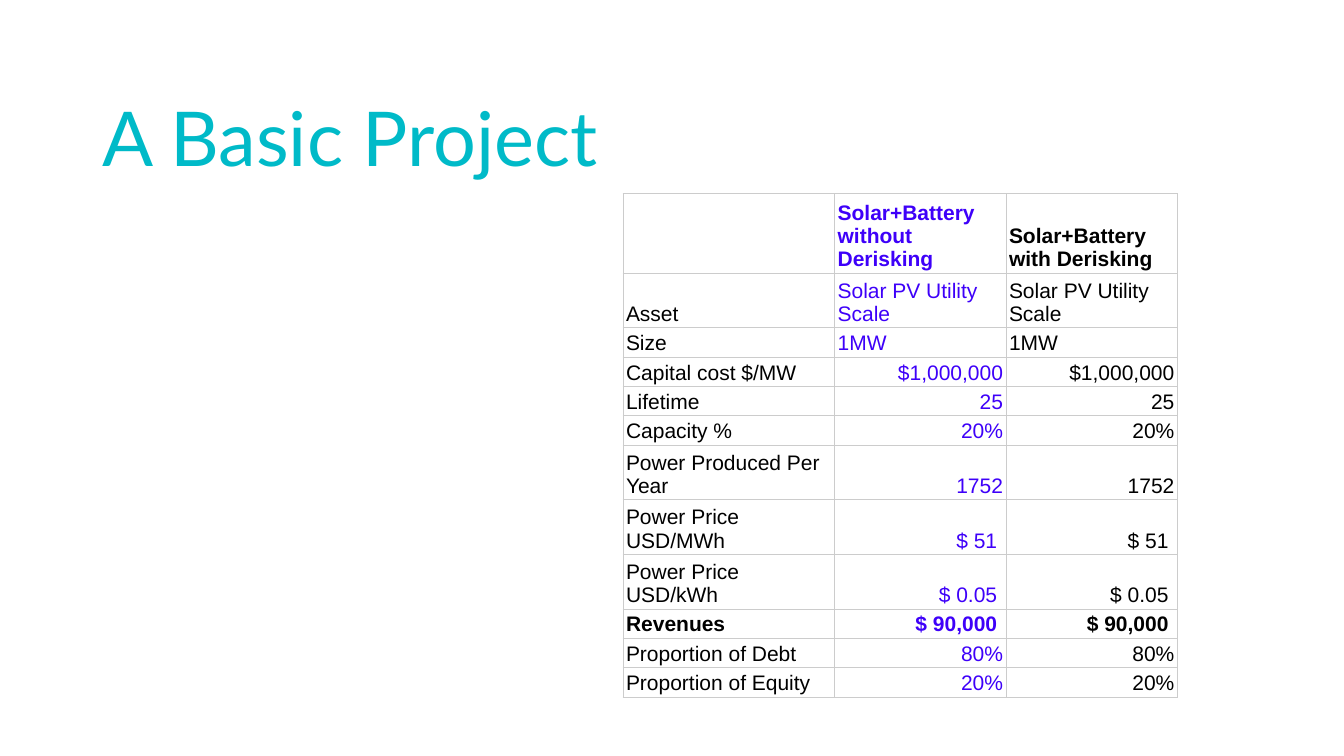
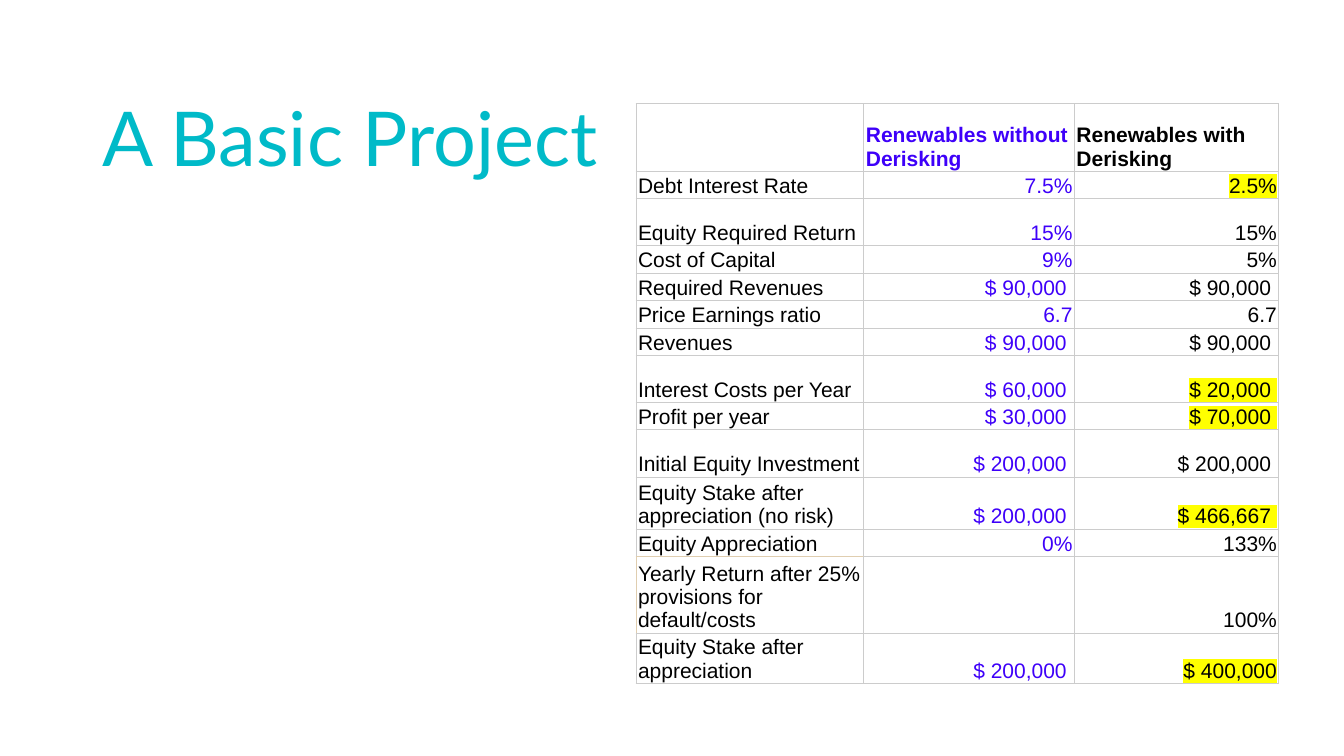
from dataclasses import dataclass

import lxml.etree
import pptx
import pptx.dml.color
import pptx.enum.text
import pptx.oxml.ns
import pptx.util

Pt = pptx.util.Pt
RGBColor = pptx.dml.color.RGBColor
PP_ALIGN = pptx.enum.text.PP_ALIGN
MSO_ANCHOR = pptx.enum.text.MSO_ANCHOR
qn = pptx.oxml.ns.qn

TEAL = RGBColor(0x00, 0xBA, 0xC8)
NAVY = RGBColor(0x20, 0x30, 0x40)
VIOLET = RGBColor(0x3E, 0x00, 0xF9)
BLACK = RGBColor(0x00, 0x00, 0x00)
YELLOW = RGBColor(0xFF, 0xFF, 0x00)
GRID_GREY = RGBColor(0xCC, 0xCC, 0xCC)
GRID_TAN = RGBColor(0xE0, 0xCE, 0xB0)

TITLE_FONT = "Lato"
TABLE_FONT = "Arial"
COLUMN_COLORS = (BLACK, VIOLET, BLACK)


@dataclass
class Row:
    label: str
    without: str
    derisked: str
    height: float
    bold: bool = False
    marked: bool = False
    tan_sides: str = ""


PROJECT_ROWS = [
    Row("", "Solar+Battery without Derisking", "Solar+Battery with Derisking", 57, bold=True),
    Row("Asset", "Solar PV Utility Scale", "Solar PV Utility Scale", 39),
    Row("Size", "1MW", "1MW", 21),
    Row("Capital cost $/MW", "$1,000,000", "$1,000,000", 21),
    Row("Lifetime", "25", "25", 21),
    Row("Capacity %", "20%", "20%", 21),
    Row("Power Produced Per Year", "1752", "1752", 39),
    Row("Power Price USD/MWh", "$ 51 ", "$ 51 ", 39),
    Row("Power Price USD/kWh", "$ 0.05 ", "$ 0.05 ", 39),
    Row("Revenues", "$ 90,000 ", "$ 90,000 ", 21, bold=True),
    Row("Proportion of Debt", "80%", "80%", 21),
    Row("Proportion of Equity", "20%", "20%", 21),
]

RETURN_ROWS = [
    Row("", "Renewables without Derisking", "Renewables with Derisking", 48.2, bold=True),
    Row("Debt Interest Rate", "7.5%", "2.5%", 19.6, marked=True),
    Row("Equity Required Return", "15%", "15%", 33.6),
    Row("Cost of Capital", "9%", "5%", 19.6),
    Row("Required Revenues", "$ 90,000 ", "$ 90,000 ", 19.6),
    Row("Price Earnings ratio", "6.7", "6.7", 19.6),
    Row("Revenues", "$ 90,000 ", "$ 90,000 ", 19.6),
    Row("Interest Costs per Year", "$ 60,000 ", "$ 20,000 ", 33.6, marked=True),
    Row("Profit per year", "$ 30,000 ", "$ 70,000 ", 19.6, marked=True),
    Row("Initial Equity Investment", "$ 200,000 ", "$ 200,000 ", 33.6),
    Row("Equity Stake after appreciation (no risk)", "$ 200,000 ", "$ 466,667 ", 37.2, marked=True),
    Row("Equity Appreciation", "0%", "133%", 19.6, tan_sides="B"),
    Row("Yearly Return after 25% provisions for default/costs", "", "100%", 54.8, tan_sides="LT"),
    Row("Equity Stake after appreciation", "$ 200,000 ", "$ 400,000", 36, marked=True),
]


def write_text(frame, text, *, font, size, color, fade_to=None, bold=False,
               align=PP_ALIGN.LEFT, highlight=None):
    frame.word_wrap = True
    paragraph = frame.paragraphs[0]
    paragraph.alignment = align
    run = paragraph.add_run()
    run.text = text
    run.font.name = font
    run.font.size = Pt(size)
    run.font.bold = bold
    if fade_to is None:
        run.font.color.rgb = color
    else:
        run.font.fill.gradient()
        run.font.fill.gradient_angle = 0
        for stop, stop_color in zip(run.font.fill.gradient_stops, (color, fade_to)):
            stop.color.rgb = stop_color
    if highlight is not None:
        marker = lxml.etree.Element(qn("a:highlight"))
        lxml.etree.SubElement(marker, qn("a:srgbClr"), val=str(highlight))
        run.font._element.find(qn("a:solidFill")).addnext(marker)


def add_titled_slide(deck, title_text):
    slide = deck.slides.add_slide(deck.slide_layouts[5])
    title = slide.shapes.title
    title.left, title.top, title.width, title.height = Pt(66), Pt(28.8), Pt(828), Pt(104.4)
    title.text_frame.vertical_anchor = MSO_ANCHOR.BOTTOM
    write_text(title.text_frame, title_text, font=TITLE_FONT, size=54,
               color=TEAL, fade_to=NAVY)
    return slide


def draw_borders(cell, tan_sides):
    properties = cell._tc.get_or_add_tcPr()
    for position, side in enumerate("LRTB"):
        line = lxml.etree.Element(qn(f"a:ln{side}"), w=str(Pt(0.75)))
        fill = lxml.etree.SubElement(line, qn("a:solidFill"))
        color = GRID_TAN if side in tan_sides else GRID_GREY
        lxml.etree.SubElement(fill, qn("a:srgbClr"), val=str(color))
        properties.insert(position, line)


def fill_cell(cell, row, column, side_inset, end_inset):
    cell.margin_left = cell.margin_right = Pt(side_inset)
    cell.margin_top = cell.margin_bottom = Pt(end_inset)
    cell.vertical_anchor = MSO_ANCHOR.BOTTOM
    cell.fill.background()
    draw_borders(cell, row.tan_sides if column == 0 else "")
    text = (row.label, row.without, row.derisked)[column]
    if text:
        is_value = column > 0 and text.strip()[-1] in "0123456789%"
        write_text(cell.text_frame, text, font=TABLE_FONT, size=15,
                   color=COLUMN_COLORS[column], bold=row.bold,
                   align=PP_ALIGN.RIGHT if is_value else PP_ALIGN.LEFT,
                   highlight=YELLOW if row.marked and column == 2 else None)


def add_comparison(slide, rows, left, top, widths, side_inset, end_inset):
    height = sum(row.height for row in rows)
    comparison = slide.shapes.add_table(len(rows), len(widths), Pt(left), Pt(top),
                                        Pt(sum(widths)), Pt(height)).table
    comparison.first_row = False
    comparison.horz_banding = False
    for column, width in enumerate(widths):
        comparison.columns[column].width = Pt(width)
    for index, row in enumerate(rows):
        comparison.rows[index].height = Pt(row.height)
        for column in range(len(widths)):
            fill_cell(comparison.cell(index, column), row, column, side_inset, end_inset)


def main():
    deck = pptx.Presentation()
    deck.slide_width, deck.slide_height = Pt(960), Pt(540)
    project = add_titled_slide(deck, "A Basic Project")
    add_comparison(project, PROJECT_ROWS, 445, 138.2, (151.2, 122.4, 122.4), 2.16, 1.44)
    returns = add_titled_slide(deck, "A Basic Project")
    add_comparison(returns, RETURN_ROWS, 454.3, 74.2, (162.8, 150.4, 146), 1.44, 0.72)
    deck.save("out.pptx")


if __name__ == "__main__":
    main()
